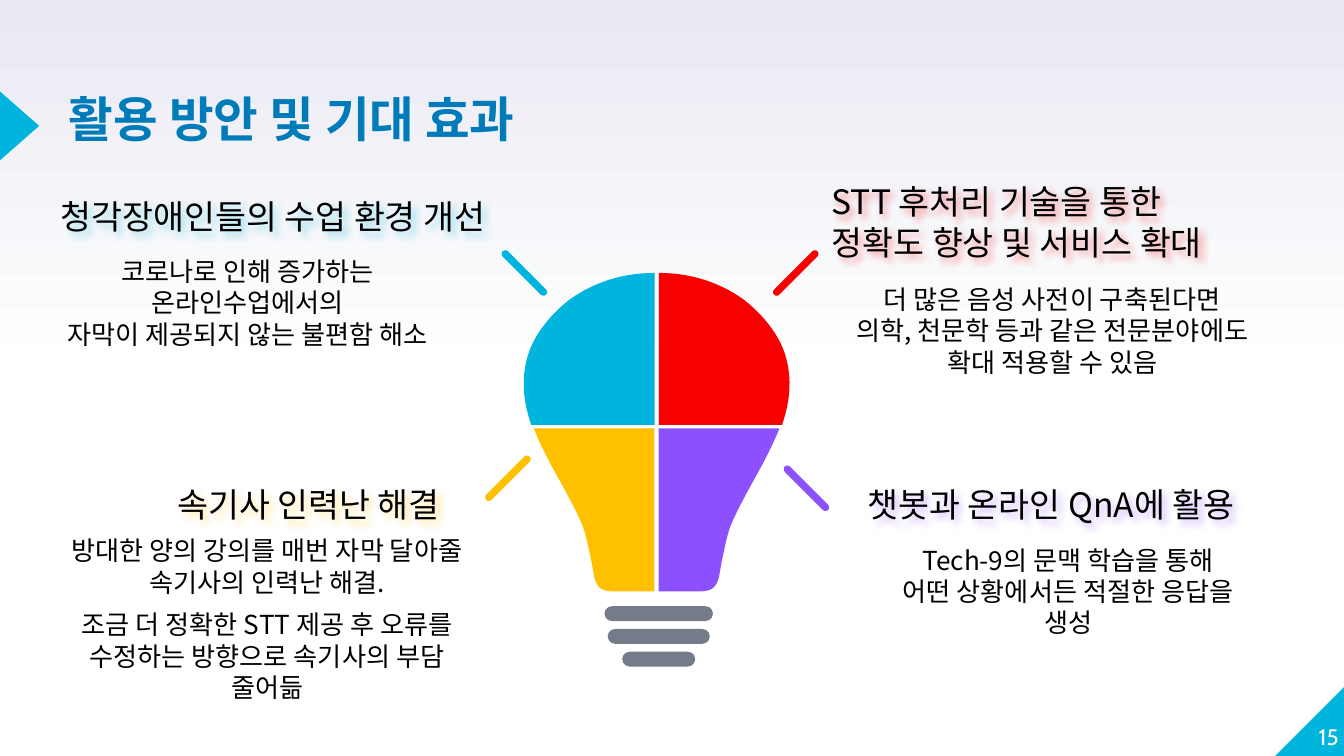
from lxml import etree
from pptx import Presentation
from pptx.dml.color import RGBColor
from pptx.enum.shapes import MSO_SHAPE
from pptx.enum.text import MSO_ANCHOR, MSO_AUTO_SIZE, PP_ALIGN
from pptx.oxml.ns import qn
from pptx.util import Cm, Pt

LEFT, CENTER, RIGHT = PP_ALIGN.LEFT, PP_ALIGN.CENTER, PP_ALIGN.RIGHT
TOP, BOTTOM = MSO_ANCHOR.TOP, MSO_ANCHOR.BOTTOM
FIT_SHAPE = MSO_AUTO_SIZE.SHAPE_TO_FIT_TEXT
ROUNDED = MSO_SHAPE.ROUNDED_RECTANGLE
TRIANGLE = MSO_SHAPE.ISOSCELES_TRIANGLE
RIGHT_TRIANGLE = MSO_SHAPE.RIGHT_TRIANGLE

COLORS = {
    "white": "FFFFFF", "haze": "E9EAF2", "black": "000000", "title": "007BB9",
    "cyan": "00B5DD", "red": "F90000", "yellow": "FFC000", "purple": "8C50FF",
    "gray": "757B89",
}
KOREAN_FONT = "Noto Sans CJK KR"
NUMBER_FONT = "Cabin"

BULB_AXIS = 12.41
CURVE_STEPS = 16
UPPER_HALF = [
    [(0.04, 5.16)],
    [(0.8, 5.16), (1.33, 5.44), (1.64, 5.66)],
    [(2.04, 5.97), (2.35, 6.38), (2.45, 6.78)],
    [(2.55, 7.16), (2.53, 7.57), (2.37, 8.03)],
    [(0.04, 8.03)],
]
LOWER_HALF = [
    [(0.04, 8.1)],
    [(2.32, 8.1)],
    [(2.07, 8.74), (1.69, 9.27), (1.41, 9.91)],
    [(1.33, 10.11), (1.28, 10.39), (1.23, 10.62)],
    [(1.18, 10.9)],
    [(1.13, 11.1), (1.05, 11.18), (0.8, 11.18)],
    [(0.04, 11.18)],
]
QUARTERS = [
    (UPPER_HALF, 1, "red"), (UPPER_HALF, -1, "cyan"),
    (LOWER_HALF, 1, "purple"), (LOWER_HALF, -1, "yellow"),
]
RAYS = [
    (15.04, 5.16, -45, "red"), (15.24, 9.23, 45, "purple"),
    (9.6, 9.04, -45, "yellow"), (9.91, 5.16, 45, "cyan"),
]
BASE_WIDTHS = [2.05, 1.93, 1.38]

HEADINGS = [
    ((15.47, 3.3, 10.11, 1.8), LEFT, "red",
     ["STT 후처리 기술을 통한", "정확도 향상 및 서비스 확대"]),
    ((16.15, 9.02, 8.38, 1.02), LEFT, "purple", ["챗봇과 온라인 QnA에 활용"]),
    ((3.1, 9.02, 6.73, 1.02), LEFT, "yellow", ["속기사 인력난 해결"]),
    ((0.61, 3.58, 8.81, 1.02), RIGHT, "cyan", ["청각장애인들의 수업 환경 개선"]),
]
BODIES = [
    ((15.47, 5.23, 8.84, 2.06), 0,
     ["더 많은 음성 사전이 구축된다면", "의학, 천문학 등과 같은 전문분야에도", "확대 적용할 수 있음"]),
    ((16.76, 10.16, 6.86, 1.45), 0,
     ["Tech-9의 문맥 학습을 통해 어떤 상황에서든 적절한 응답을 생성"]),
    ((0.86, 9.98, 8.38, 2.82), 6,
     ["방대한 양의 강의를 매번 자막 달아줄 속기사의 인력난 해결.",
      "조금 더 정확한 STT 제공 후 오류를 수정하는 방향으로 속기사의 부담 줄어듦"]),
    ((0.28, 4.7, 8.81, 1.45), 0,
     ["코로나로 인해 증가하는 온라인수업에서의", "자막이 제공되지 않는 불편함 해소"]),
]


def color(name):
    """Return the named colour."""
    return RGBColor.from_string(COLORS[name])


def paint(shape, fill):
    """Give a shape a flat fill without line or shadow."""
    shape.shadow.inherit = False
    shape.fill.solid()
    shape.fill.fore_color.rgb = color(fill)
    shape.line.fill.background()


def add_preset(slide, kind, box, fill, rotation=0):
    """Add a flat preset shape."""
    shape = slide.shapes.add_shape(kind, *map(Cm, box))
    paint(shape, fill)
    shape.rotation = rotation
    return shape


def add_pill(slide, center_x, center_y, width, height, fill, rotation=0):
    """Add a fully rounded bar around a centre."""
    box = (center_x - width / 2, center_y - height / 2, width, height)
    add_preset(slide, ROUNDED, box, fill, rotation).adjustments[0] = 0.5


def trace(segments):
    """Turn line and cubic curve segments into a list of points."""
    points = []
    for segment in segments:
        if len(segment) == 1:
            points += segment
            continue
        controls = [points[-1], *segment]
        for step in range(1, CURVE_STEPS + 1):
            t = step / CURVE_STEPS
            weights = ((1 - t) ** 3, 3 * t * (1 - t) ** 2, 3 * t * t * (1 - t), t ** 3)
            points.append(tuple(sum(w * p[axis] for w, p in zip(weights, controls))
                                for axis in (0, 1)))
    return points


def add_quarter(slide, segments, side, fill):
    """Add one quarter of the bulb on the given side of its axis."""
    points = [(Cm(BULB_AXIS + side * x), Cm(y)) for x, y in trace(segments)]
    builder = slide.shapes.build_freeform(*points[0])
    builder.add_line_segments(points[1:], close=True)
    paint(builder.convert_to_shape(), fill)


def add_text(slide, box, lines, size, fill="black", font=KOREAN_FONT, align=LEFT,
             anchor=TOP, gap=0, bold=False, inset=True):
    """Add a wrapped text box with one paragraph per line."""
    shape = slide.shapes.add_textbox(*map(Cm, box))
    frame = shape.text_frame
    frame.word_wrap = True
    frame.vertical_anchor = anchor
    if inset:
        frame.auto_size = FIT_SHAPE
    else:
        frame.margin_left = frame.margin_right = frame.margin_top = frame.margin_bottom = 0
    frame.text = "\n".join(lines)
    for index, paragraph in enumerate(frame.paragraphs):
        paragraph.alignment = align
        if index and gap:
            paragraph.space_before = Pt(gap)
        paragraph.font.name = font
        paragraph.font.size = Pt(size)
        paragraph.font.bold = bold
        paragraph.font.color.rgb = color(fill)
        properties = paragraph._p.pPr.find(qn("a:defRPr"))
        etree.SubElement(properties, qn("a:ea"), typeface=font)
    return shape


def add_glow(shape, fill):
    """Cast a soft coloured shadow from the text of a box."""
    effects = etree.SubElement(shape._element.spPr, qn("a:effectLst"))
    shadow = etree.SubElement(effects, qn("a:outerShdw"), blurRad="50800",
                              dist="38100", dir="2700000", algn="tl", rotWithShape="0")
    tint = etree.SubElement(shadow, qn("a:srgbClr"), val=COLORS[fill])
    etree.SubElement(tint, qn("a:alpha"), val="40000")


def set_background(slide):
    """Fade the slide from white up to a pale haze."""
    fill = slide.background.fill
    fill.gradient()
    fill.gradient_angle = 90
    for stop, position, name in zip(fill.gradient_stops, (0.5, 1), ("white", "haze")):
        stop.position = position
        stop.color.rgb = color(name)


def add_bulb(slide):
    """Draw the bulb with its rays and base."""
    for x, y, rotation, fill in RAYS:
        add_pill(slide, x, y, 1.16, 0.14, fill, rotation)
    for segments, side, fill in QUARTERS:
        add_quarter(slide, segments, side, fill)
    for index, width in enumerate(BASE_WIDTHS):
        add_pill(slide, 12.45, 11.6 + 0.43 * index, width, 0.28, "gray")


def main():
    """Build and save the slide."""
    presentation = Presentation()
    presentation.slide_width, presentation.slide_height = Cm(25.4), Cm(14.29)
    slide = presentation.slides.add_slide(presentation.slide_layouts[6])
    set_background(slide)
    add_preset(slide, RIGHT_TRIANGLE, (24.1, 12.99, 1.3, 1.3), "cyan", 270)
    add_preset(slide, TRIANGLE, (-0.28, 2.01, 1.3, 0.74), "cyan", 90)
    add_text(slide, (24.03, 12.88, 1.27, 1.3), ["15"], 12, "white", NUMBER_FONT,
             RIGHT, BOTTOM, inset=False)
    for box, align, glow, lines in HEADINGS:
        add_glow(add_text(slide, box, lines, 18, align=align), glow)
    for box, gap, lines in BODIES:
        add_text(slide, box, lines, 14, align=CENTER, gap=gap)
    add_bulb(slide)
    title = add_text(slide, (1.3, 1.9, 19.96, 1.07), ["활용 방안 및 기대 효과"], 26,
                     "title", bold=True, inset=False)
    title.text_frame.paragraphs[0].line_spacing = 0.8
    presentation.save("out.pptx")


if __name__ == "__main__":
    main()
